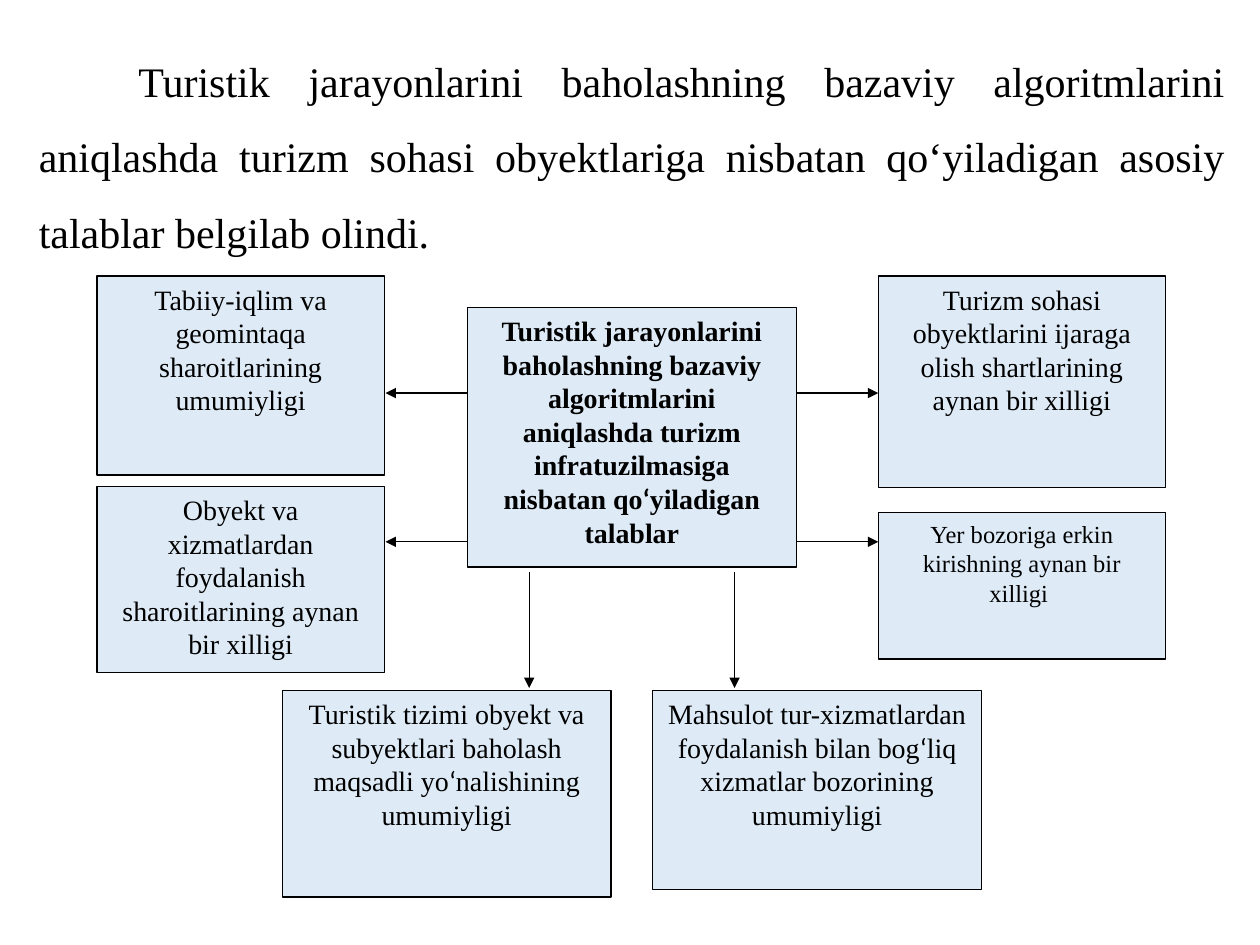
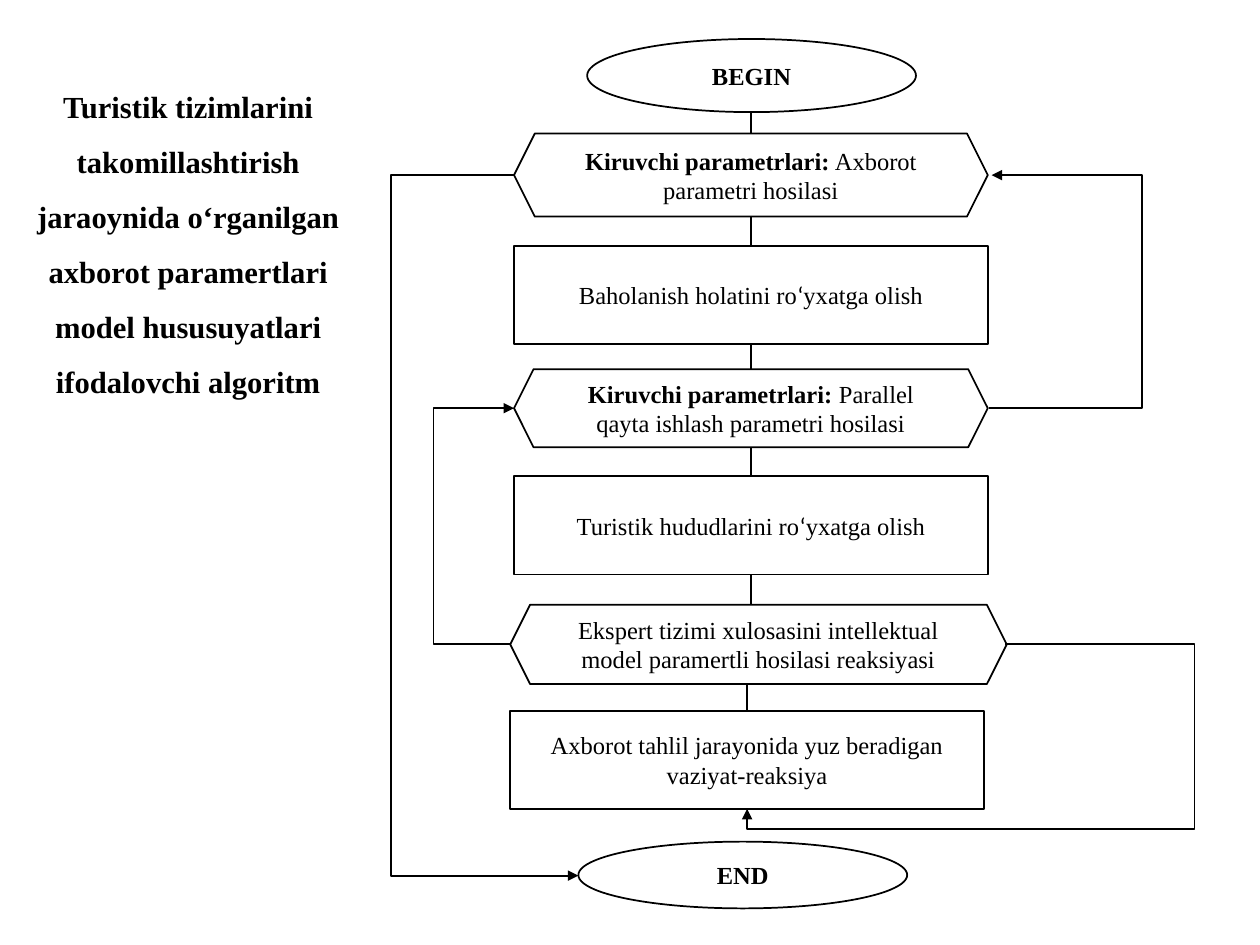
from dataclasses import dataclass
from itertools import pairwise

from lxml.etree import SubElement
from pptx import Presentation
from pptx.dml.color import RGBColor
from pptx.enum.shapes import MSO_CONNECTOR as Route, MSO_SHAPE as Kind
from pptx.enum.text import MSO_ANCHOR as Anchor, PP_ALIGN as Align
from pptx.oxml.ns import qn
from pptx.util import Pt

PX = 9144


@dataclass(frozen=True)
class Theme:
    ink: RGBColor = RGBColor(0, 0, 0)
    paper: RGBColor = RGBColor(255, 255, 255)
    tint: RGBColor = RGBColor(0xDE, 0xEB, 0xF7)
    font: str = "Times New Roman"
    quote_font: str = "Calibri"
    lead: float = 24
    heading: float = 17.5
    label: float = 16
    step: float = 14
    thin: float = 0.75
    medium: float = 1


theme = Theme()
HEADING = {"line_spacing": 1.5, "space_before": Pt(10)}


def add_block(slide, kind, at, bold, plain, size, fill=None, width=0,
              anchor=Anchor.TOP, paragraph_format=None):
    place = [n * PX for n in at]
    if kind is None:
        block = slide.shapes.add_textbox(*place)
    else:
        block = slide.shapes.add_shape(kind, *place)
        block.shadow.inherit = False
        block.fill.solid()
        block.fill.fore_color.rgb = fill
        block.line.color.rgb = theme.ink
        block.line.width = Pt(width)
    frame = block.text_frame
    frame.word_wrap = True
    frame.vertical_anchor = anchor
    paragraph = frame.paragraphs[0]
    for key, value in ({"alignment": Align.CENTER} | (paragraph_format or {})).items():
        setattr(paragraph, key, value)
    for text, is_bold in ((bold, True), (plain, False)):
        for piece in text.partition("‘") if kind else (text,):
            if piece:
                run = paragraph.add_run()
                run.text = piece
                run.font.name = theme.quote_font if piece == "‘" else theme.font
                run.font.size = Pt(size)
                run.font.bold = is_bold
                run.font.color.rgb = theme.ink
    return block


def add_link(slide, start, end, width, arrow=True, via=()):
    route = Route.ELBOW if via else Route.STRAIGHT
    link = slide.shapes.add_connector(route, *(n * PX for n in start + end))
    link.line.color.rgb = theme.ink
    link.line.width = Pt(width)
    properties = link._element.spPr
    if via:
        geometry = properties.find(qn("a:prstGeom"))
        geometry.set("prst", f"bentConnector{len(via) + 2}")
        guides = geometry.find(qn("a:avLst"))
        for i, turn in enumerate(via):
            share = round((turn - start[i]) / (end[i] - start[i]) * 100000)
            SubElement(guides, qn("a:gd"), name=f"adj{i + 1}", fmla=f"val {share}")
    if arrow:
        SubElement(link.line._get_or_add_ln(), qn("a:tailEnd"), type="triangle")
    SubElement(properties, qn("a:effectLst"))
    return link


deck = Presentation()
deck.slide_width, deck.slide_height = 1000 * PX, 750 * PX
blank = deck.slide_layouts[6]

demands = deck.slides.add_slide(blank)
add_block(
    demands, None, (21, 19, 961, 719), "",
    "Turistik jarayonlarini baholashning bazaviy algoritmlarini aniqlashda turizm "
    "sohasi obyektlariga nisbatan qo‘yiladigan asosiy talablar belgilab olindi.",
    theme.lead, paragraph_format=HEADING | {"alignment": Align.JUSTIFY},
).text_frame.paragraphs[0]._p.get_or_add_pPr().set("indent", str(79 * PX))

for at, bold, plain, size in (
    ((371, 244, 261, 206), "Turistik jarayonlarini baholashning bazaviy algoritmlarini "
     "aniqlashda turizm infratuzilmasiga nisbatan qo‘yiladigan talablar", "", theme.label),
    ((77, 219, 228, 158), "", "Tabiiy-iqlim va geomintaqa sharoitlarining umumiyligi",
     theme.label),
    ((697, 219, 228, 168), "", "Turizm sohasi obyektlarini ijaraga olish shartlarining "
     "aynan bir xilligi", theme.label),
    ((77, 386, 228, 148), "", "Obyekt va xizmatlardan foydalanish sharoitlarining "
     "aynan bir xilligi", theme.label),
    ((697, 407, 228, 116), "", "Yer bozoriga erkin kirishning aynan bir xilligi ",
     theme.step),
    ((224, 548, 261, 164), "", "Turistik tizimi obyekt va subyektlari baholash maqsadli "
     "yo‘nalishining umumiyligi", theme.label),
    ((518, 548, 261, 158), "", "Mahsulot tur-xizmatlardan foydalanish bilan bog‘liq "
     "xizmatlar bozorining umumiyligi", theme.label),
):
    add_block(demands, Kind.RECTANGLE, at, bold, plain, size, theme.tint, theme.thin)

for y in (312, 430):
    for near, far in ((632, 697), (371, 306)):
        add_link(demands, (near, y), (far, y), theme.thin)
for x in (420, 583):
    add_link(demands, (x, 454), (x, 546), theme.thin)

algorithm = deck.slides.add_slide(blank)
add_block(
    algorithm, None, (16, 50, 267, 287),
    "Turistik tizimlarini takomillashtirish jaraoynida o‘rganilgan axborot paramertlari "
    "model hususuyatlari ifodalovchi algoritm", "",
    theme.heading, paragraph_format=HEADING,
)

steps = [
    add_block(algorithm, kind, at, bold, plain, theme.step, theme.paper, theme.medium,
              Anchor.MIDDLE)
    for kind, at, bold, plain in (
        (Kind.OVAL, (466, 31, 261, 58), "BEGIN", ""),
        (Kind.HEXAGON, (408, 106, 376, 66), "Kiruvchi parametrlari:",
         " Axborot parametri hosilasi"),
        (Kind.RECTANGLE, (408, 195, 376, 78), "", "Baholanish holatini ro‘yxatga olish"),
        (Kind.HEXAGON, (408, 293, 376, 62), "Kiruvchi parametrlari:",
         " Parallel qayta ishlash parametri hosilasi"),
        (Kind.RECTANGLE, (408, 378, 376, 78), "", "Turistik hududlarini ro‘yxatga olish"),
        (Kind.HEXAGON, (405, 480, 394, 63), "",
         "Ekspert tizimi xulosasini intellektual model paramertli hosilasi reaksiyasi"),
        (Kind.RECTANGLE, (405, 564, 376, 78), "",
         "Axborot tahlil jarayonida yuz beradigan vaziyat-reaksiya"),
        (Kind.OVAL, (459, 668, 261, 53), "END", ""),
    )
]

for upper, lower in pairwise(steps[:-1]):
    x = min(step.left + step.width // 2 for step in (upper, lower)) // PX
    link = add_link(algorithm, (x, (upper.top + upper.height) // PX),
                    (x, lower.top // PX), theme.medium, arrow=False)
    if upper.auto_shape_type == Kind.RECTANGLE:
        link.begin_connect(upper, 2)
    if lower.auto_shape_type == Kind.RECTANGLE:
        link.end_connect(lower, 0)

for start, end, via in (
    ((785, 324), (787, 139), (906,)),
    ((408, 139), (459, 695), (310,)),
    ((405, 511), (408, 324), (344,)),
    ((798, 511), (593, 642), (948, 658)),
):
    add_link(algorithm, start, end, theme.medium, via=via)

deck.save("out.pptx")
